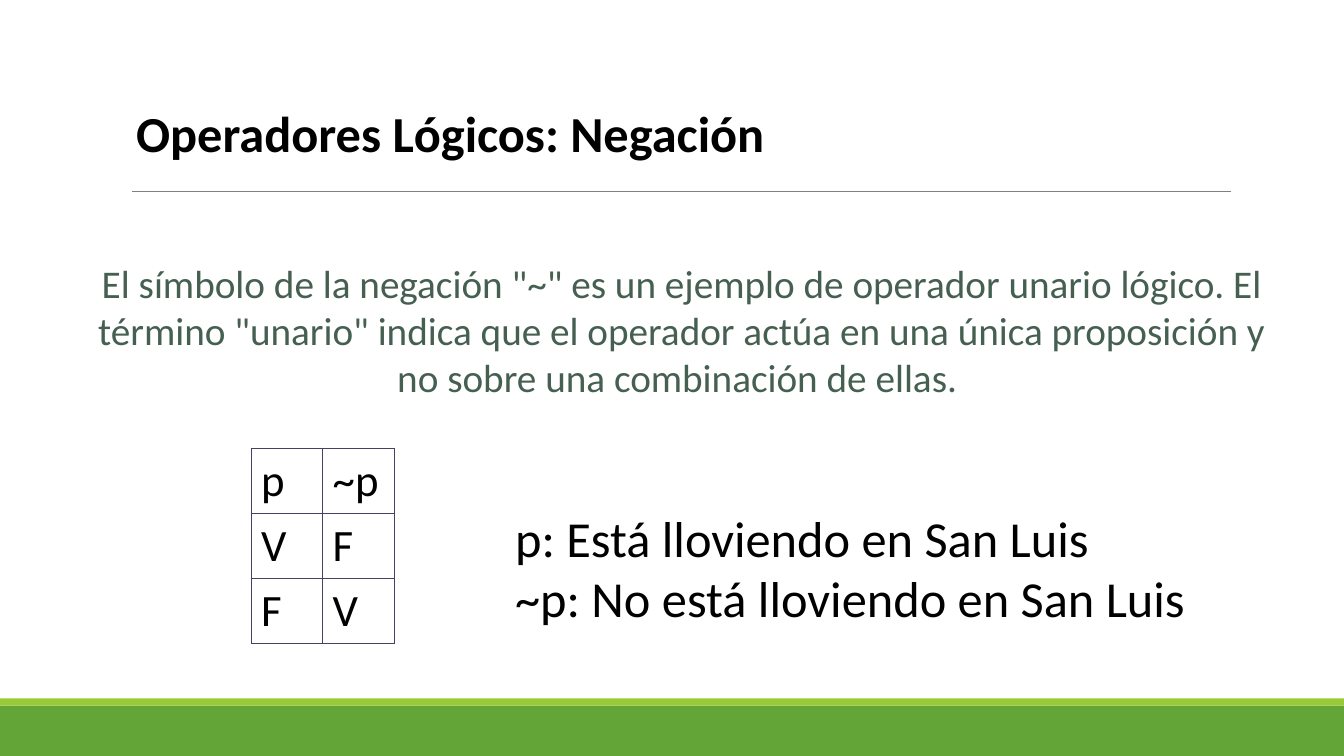
from lxml import etree
from pptx import Presentation
from pptx.dml import color
from pptx.enum import shapes, text
from pptx.oxml import ns
from pptx.util import Inches, Pt


def rgb(value):
    return color.RGBColor.from_string(value)


def write(frame, lines, size, ink, bold=False, alignment=text.PP_ALIGN.LEFT):
    frame.text = "\n".join(lines)
    for paragraph in frame.paragraphs:
        paragraph.alignment = alignment
        paragraph.font.name = "Calibri"
        paragraph.font.size = Pt(size)
        paragraph.font.bold = bold
        paragraph.font.color.rgb = rgb(ink)


presentation = Presentation()
presentation.slide_width = Inches(13.33)
presentation.slide_height = Inches(7.5)
slide = presentation.slides.add_slide(presentation.slide_layouts[5])

for top, height, fill in [(7, 0.5, "63A537"), (6.93, 0.07, "99CB38")]:
    band = slide.shapes.add_shape(
        shapes.MSO_SHAPE.RECTANGLE, 0, Inches(top), presentation.slide_width, Inches(height)
    )
    band.shadow.inherit = False
    band.fill.solid()
    band.fill.fore_color.rgb = rgb(fill)
    band.line.fill.background()

rule = slide.shapes.add_connector(
    shapes.MSO_CONNECTOR.STRAIGHT, Inches(1.31), Inches(1.9), Inches(12.21), Inches(1.9)
)
rule.line.color.rgb = rgb("808080")
rule.line.width = Pt(0.5)
etree.SubElement(rule._element.spPr, ns.qn("a:effectLst"))

title = slide.shapes.title
title.left, title.top = Inches(1.25), Inches(0.96)
title.width, title.height = Inches(7.18), Inches(0.71)
title.text_frame.auto_size = text.MSO_AUTO_SIZE.NONE
write(title.text_frame, ["Operadores Lógicos: Negación"], 36, "000000", bold=True)

truth_rows = [("p", "~p"), ("V", "F"), ("F", "V")]
table = slide.shapes.add_table(
    3, 2, Inches(2.49), Inches(4.45), Inches(1.42), Inches(1.9)
).table
table.first_row = False
table.horz_banding = False
for row, values in enumerate(truth_rows):
    for column, value in enumerate(values):
        cell = table.cell(row, column)
        cell.vertical_anchor = text.MSO_ANCHOR.MIDDLE
        write(cell.text_frame, [value], 32, "000000")
        properties = cell._tc.get_or_add_tcPr()
        for side in ("lnL", "lnR", "lnT", "lnB"):
            border = etree.SubElement(properties, ns.qn(f"a:{side}"), w=str(Pt(0.72)))
            border_fill = etree.SubElement(border, ns.qn("a:solidFill"))
            etree.SubElement(border_fill, ns.qn("a:srgbClr"), val="424263")
        cell.fill.background()

example = slide.shapes.add_textbox(Inches(5.01), Inches(4.98), Inches(6.91), Inches(1.31))
example.text_frame.word_wrap = False
write(
    example.text_frame,
    ["p: Está lloviendo en San Luis", "~p: No está lloviendo en San Luis"],
    36,
    "000000",
)

definition = slide.shapes.add_textbox(Inches(0.76), Inches(2.57), Inches(12), Inches(1.41))
frame = definition.text_frame
frame.word_wrap = True
frame.margin_left = frame.margin_right = frame.margin_top = frame.margin_bottom = 0
write(
    frame,
    [
        'El símbolo de la negación "~" es un ejemplo de operador unario lógico. '
        'El término "unario" indica que el operador actúa en una única proposición '
        "y no sobre una combinación de ellas. "
    ],
    28,
    "455F51",
    alignment=text.PP_ALIGN.CENTER,
)

presentation.save("out.pptx")
